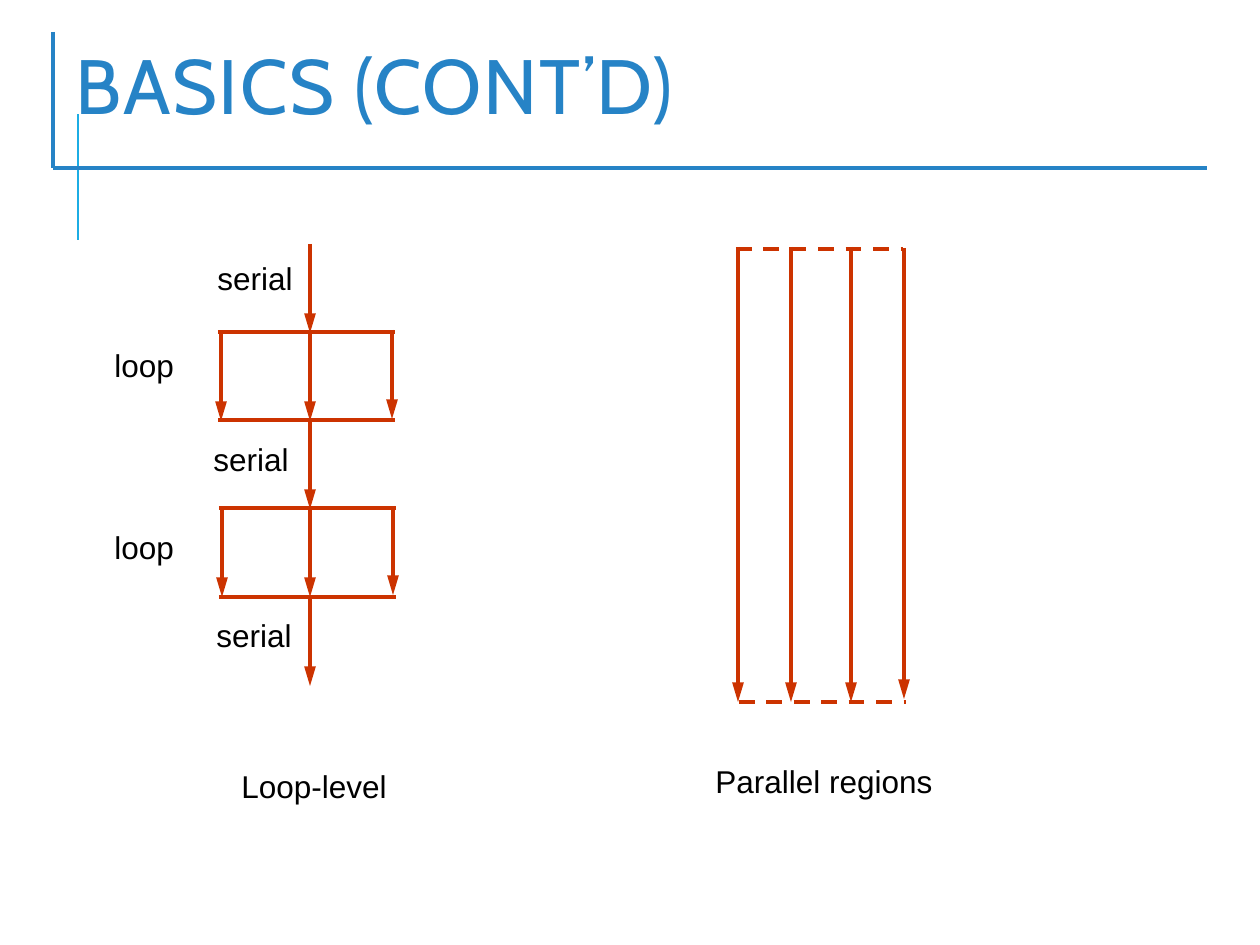
import pptx
import pptx.dml.color
import pptx.enum.dml
import pptx.enum.shapes
import pptx.enum.text
import pptx.oxml.ns
import pptx.util
from lxml import etree

PX = 914400 / 126
THEME = {
    "title": {"name": "Cabin", "size": 44, "color": "2683C6"},
    "label": {"name": "Arial", "size": 18, "color": "000000"},
    "accent": {"color": "1CADE4", "width": 1.5},
    "frame": {"color": "2683C6", "width": 2.25},
    "flow": {"color": "CC3300", "width": 2.25},
}

TITLE = ("BASICS (CONT’D)", 63, 31, 1134, 122)
LABELS = [
    ("loop", 102, 340, 87),
    ("loop", 102, 522, 87),
    ("Loop-level", 229, 761, 173),
    ("Parallel regions", 703, 756, 244),
    ("serial", 205, 253, 103),
    ("serial", 201, 434, 103),
    ("serial", 204, 610, 103),
]
LABEL_HEIGHT = 50
ACCENT_LINE = (78, 240, 78, 114)
FRAME_LINES = [(53, 168, 1207, 168), (53, 32, 53, 168)]

TRUNK_X = 310
STEP = 89
SERIAL_TOPS = [244, 420, 597]
FORKS = [(218, 332, 420), (219, 508, 597)]
BAR_WIDTH = 177
ARM_INSET = 3
RIGHT_ARM = 174
RIGHT_LIFT = 2

REGION_THREADS = [(738, 247, 702), (791, 247, 702), (851, 247, 702), (904, 248, 699)]
REGION_BARS = [(736, 249), (739, 702)]
REGION_WIDTH = 167


def px(value):
    return round(value * PX)


def color(value):
    return pptx.dml.color.RGBColor.from_string(value)


def add_line(page, ends, style, arrow=False, dashed=False):
    line = page.shapes.add_connector(
        pptx.enum.shapes.MSO_CONNECTOR.STRAIGHT, *map(px, ends))
    line.line.color.rgb = color(style["color"])
    line.line.width = pptx.util.Pt(style["width"])
    if dashed:
        line.line.dash_style = pptx.enum.dml.MSO_LINE.DASH
    if arrow:
        etree.SubElement(line.line._get_or_add_ln(),
                         pptx.oxml.ns.qn("a:tailEnd"), type="triangle", len="lg")
    etree.SubElement(line._element.spPr, pptx.oxml.ns.qn("a:effectLst"))


def add_text(page, text, bounds, style, frame_format):
    box = page.shapes.add_textbox(*map(px, bounds))
    for name, value in frame_format.items():
        setattr(box.text_frame, name, value)
    para = box.text_frame.paragraphs[0]
    span = para.add_run()
    span.text = text
    font_format = {"name": style["name"], "size": pptx.util.Pt(style["size"])}
    for name, value in font_format.items():
        setattr(span.font, name, value)
    span.font.color.rgb = color(style["color"])
    return para, span


def add_heading(page):
    text, *bounds = TITLE
    para, span = add_text(page, text, bounds, THEME["title"], {
        "word_wrap": True,
        "vertical_anchor": pptx.enum.text.MSO_ANCHOR.MIDDLE,
    })
    para.line_spacing = 0.8
    span.font._element.set("spc", "100")
    for ends in FRAME_LINES:
        add_line(page, ends, THEME["frame"])


def add_loop_level(page):
    flow = THEME["flow"]
    for top in SERIAL_TOPS:
        add_line(page, (TRUNK_X, top, TRUNK_X, top + STEP), flow, arrow=True)
    for left, top, bottom in FORKS:
        for y in (top, bottom):
            add_line(page, (left, y, left + BAR_WIDTH, y), flow)
        arms = [(left + ARM_INSET, 0), (TRUNK_X, 0), (left + RIGHT_ARM, RIGHT_LIFT)]
        for x, lift in arms:
            add_line(page, (x, top - lift, x, top + STEP - lift), flow, arrow=True)


def add_parallel_regions(page):
    flow = THEME["flow"]
    for x, top, bottom in REGION_THREADS:
        add_line(page, (x, top, x, bottom), flow, arrow=True)
    for left, y in REGION_BARS:
        add_line(page, (left, y, left + REGION_WIDTH, y), flow, dashed=True)


def main():
    deck = pptx.Presentation()
    deck.slide_width, deck.slide_height = px(1260), px(945)
    page = deck.slides.add_slide(deck.slide_layouts[6])
    add_line(page, ACCENT_LINE, THEME["accent"])
    add_heading(page)
    add_loop_level(page)
    add_parallel_regions(page)
    for text, left, top, width in LABELS:
        add_text(page, text, (left, top, width, LABEL_HEIGHT), THEME["label"], {
            "word_wrap": False,
            "auto_size": pptx.enum.text.MSO_AUTO_SIZE.SHAPE_TO_FIT_TEXT,
        })
    deck.save("out.pptx")


if __name__ == "__main__":
    main()
